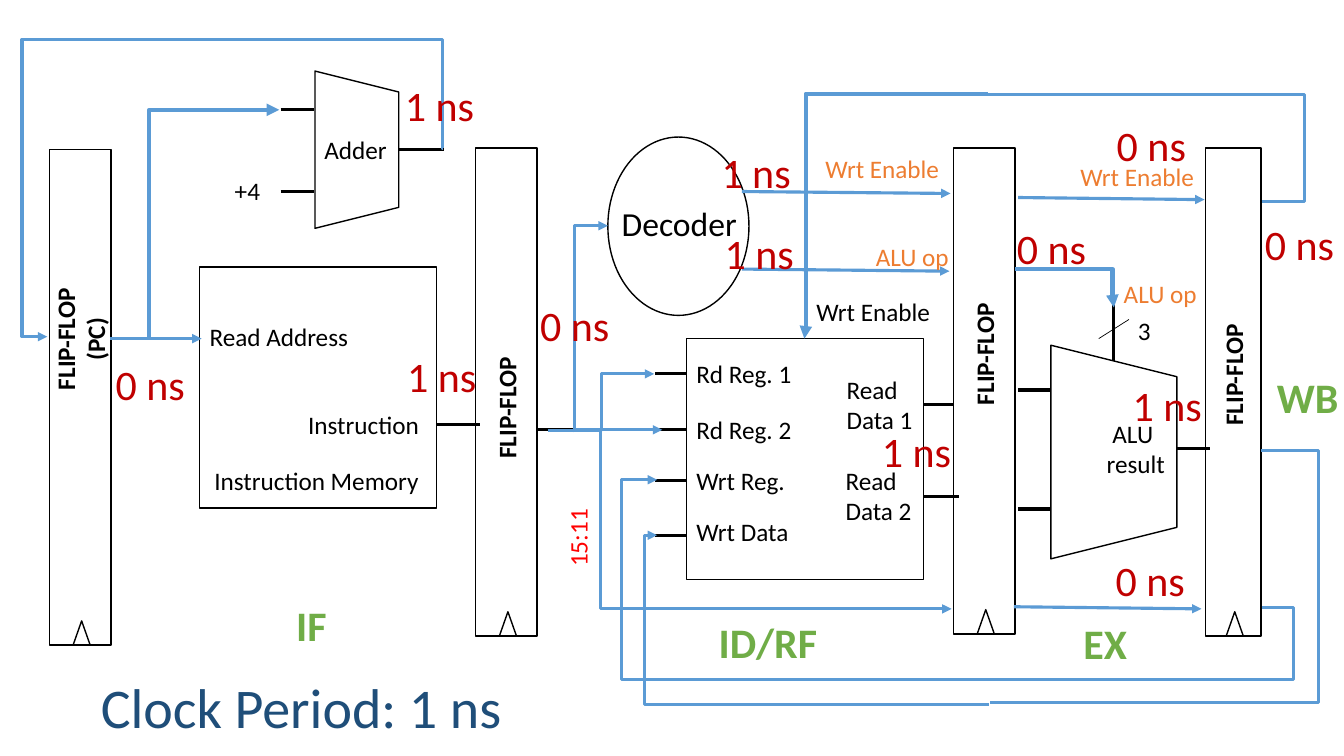
from dataclasses import dataclass

from pptx import Presentation
from pptx.dml.color import RGBColor
from pptx.enum.shapes import MSO_CONNECTOR as LINK, MSO_SHAPE as KIND
from pptx.enum.text import MSO_ANCHOR, PP_ALIGN
from pptx.oxml.ns import qn
from pptx.util import Pt
from lxml.etree import SubElement


@dataclass(frozen=True)
class Theme:
    """Colours, type sizes and line widths."""
    font: str = "Calibri"
    ink: str = "000000"
    wire: str = "5B9BD5"
    ctrl: str = "ED7D31"
    stage: str = "70AD47"
    delay: str = "C00000"
    bits: str = "FF0000"
    title: str = "1F4E79"
    small: int = 18
    mid: int = 24
    large: int = 30
    huge: int = 40
    hair: float = 0.5
    edge: float = 1
    thin: float = 2.25
    thick: float = 3


T = Theme()


def style(para, size, color, bold=False, align=PP_ALIGN.LEFT):
    """Format one paragraph."""
    para.alignment = align
    font = para.font
    font.name, font.size, font.bold = T.font, Pt(size), bold
    font.color.rgb = RGBColor.from_string(color)


class Region:
    """Draws parts relative to the box of one region."""

    def __init__(self, slide, box):
        self.shapes = slide.shapes
        self.x, self.y, self.w, self.h = box

    def text(self, words, x, y, w, size=T.small, color=T.ink, bold=False,
             turn=0, align=PP_ALIGN.LEFT):
        """Add a label, one paragraph for each line of words."""
        lines = words.split("\n")
        high = size * 1.2 * len(lines) + 7.2
        label = self.shapes.add_textbox(
            Pt(self.x + x), Pt(self.y + y), Pt(w), Pt(high))
        label.rotation = turn
        frame = label.text_frame
        frame.word_wrap = False
        frame.text = words
        for para in frame.paragraphs:
            style(para, size, color, bold, align)

    def upright(self, words, x, y, w, **look):
        """Add a label that reads upward, centred on x and y."""
        high = T.small * 1.2 * len(words.split("\n")) + 7.2
        self.text(words, x - w / 2, y - high / 2, w, turn=270, **look)

    def stage(self, words, x, y, w):
        """Name a pipeline stage."""
        self.text(words, x, y, w, T.large, T.stage, True)

    def delays(self, *spots):
        """Add delays given as nanoseconds, x and y."""
        for count, x, y in spots:
            self.text(f"{count} ns", x, y, 64.8, T.large, T.delay)

    def shape(self, kind, x, y, w, h, turn=0):
        """Add an outlined shape without fill."""
        part = self.shapes.add_shape(
            kind, Pt(self.x + x), Pt(self.y + y), Pt(w), Pt(h))
        part.rotation = turn
        part.shadow.inherit = False
        part.fill.background()
        part.line.color.rgb = RGBColor.from_string(T.ink)
        part.line.width = Pt(T.edge)

    def funnel(self, x, y, w, h):
        """Add a trapezoid that narrows to the right."""
        self.shape(KIND.TRAPEZOID, x + (w - h) / 2, y + (h - w) / 2, h, w, 90)

    def flop(self, x, y, w, h, mid, words="FLIP-FLOP"):
        """Add a flip-flop with its clock mark and name."""
        self.shape(KIND.RECTANGLE, x, y, w, h)
        self.shape(KIND.ISOSCELES_TRIANGLE, x + w / 2 - 5, y + h - 17.3,
                   12.2, 17.3)
        self.upright(words, x + w / 2, mid, 88.6, bold=True,
                     align=PP_ALIGN.CENTER)

    def wire(self, x1, y1, x2, y2, bend=None, color=T.wire, width=T.thin,
             arrow=True):
        """Add a wire; bend is the x of its vertical part."""
        kind = LINK.STRAIGHT if bend is None else LINK.ELBOW
        link = self.shapes.add_connector(
            kind, Pt(self.x + x1), Pt(self.y + y1),
            Pt(self.x + x2), Pt(self.y + y2))
        link.line.color.rgb = RGBColor.from_string(color)
        link.line.width = Pt(width)
        props = link._element.spPr
        if bend is not None:
            ratio = round((bend - x1) / (x2 - x1) * 100000)
            guides = props.find(qn("a:prstGeom")).get_or_add_avLst()
            SubElement(guides, qn("a:gd"), name="adj1", fmla=f"val {ratio}")
        if arrow:
            SubElement(props.find(qn("a:ln")), qn("a:tailEnd"),
                       type="triangle")
        SubElement(props, qn("a:effectLst"))

    def stub(self, x1, y1, x2, y2, width=T.thin):
        """Add a short black pin line."""
        self.wire(x1, y1, x2, y2, color=T.ink, width=width, arrow=False)


def fetch(slide, box):
    """Draw the fetch stage: PC, adder and instruction memory."""
    r = Region(slide, box)
    r.flop(35.3, 106.6, 43.9, 354.2, 242.3, "FLIP-FLOP\n(PC)")
    r.flop(339.8, 105.8, 43.9, 348.5, 291.2)
    r.funnel(225, 50.8, 59.8, 112.3)
    r.shape(KIND.RECTANGLE, 142.6, 190.8, 169.2, 172.1)
    for x1, x2, y in ((200.5, 224.6, 78.5), (200.5, 224.6, 136.8),
                      (284.4, 316.8, 106.6), (311.8, 342.7, 303.1)):
        r.stub(x1, y, x2, y)
    r.wire(78.5, 241.9, 144, 241.9)
    r.wire(106.6, 241.9, 199.4, 78.5, 106.6, width=T.thick)
    r.wire(316.8, 105.8, 193.7, 28.1, 316.1, arrow=False)
    r.wire(213.8, 28.1, 33.8, 240.5, 15.8)
    for words, x, y, w in (("Adder", 224.6, 92.2, 59.8),
                           ("+4", 160.6, 121.7, 33),
                           ("Read Address", 142.6, 226, 114.5),
                           ("Instruction ", 213, 288.7, 98.6),
                           ("Instruction Memory", 146, 329, 162)):
        r.text(words, x, y, w)
    r.stage("IF", 204.5, 424.8, 36.7)
    r.delays((0, 75.6, 252.7), (1, 283.7, 247), (1, 282.2, 53.3))


def decode(slide, box):
    """Draw the decode stage: decoder and register file."""
    r = Region(slide, box)
    r.shape(KIND.RECTANGLE, 110.3, 241.9, 169.2, 172.1)
    for words, pin, y in (("Rd Reg. 1", 267.1, 252.7),
                          ("Rd Reg. 2", 306.7, 292.3),
                          ("Wrt Reg.", 343.4, 329),
                          ("Wrt Data", 382.3, 365)):
        r.stub(88, pin, 110.3, pin)
        r.text(words, 110.3, y, 83.5)
    r.text("Read \nData 1", 217.6, 263.5, 62)
    r.text("Read \nData 2", 216.9, 329, 62)
    r.stub(279.5, 288.7, 301.8, 288.7)
    r.stub(279.5, 354.6, 304.7, 354.6)
    r.stub(3, 306.7, 34, 306.7)
    r.shape(KIND.OVAL, 54.2, 97.9, 100.8, 127.4)
    r.text("Decoder", 57, 141.1, 97.9, T.mid)
    r.wire(11.7, 307.4, 87.3, 267.1, 49.8)
    r.wire(49.8, 307, 93, 307)
    r.wire(30.4, 308.9, 54.2, 161.3, 30.4)
    r.wire(29, 306.7, 299.7, 434.9, 49)
    r.wire(149.9, 136.8, 299, 138.2)
    r.wire(149.9, 192.2, 298.2, 193.7)
    r.text("Wrt Enable", 196, 208.1, 96.5)
    r.text("Wrt Enable", 202.5, 105.8, 96.5, color=T.ctrl)
    r.text("ALU op", 238.5, 168.5, 67, color=T.ctrl)
    r.upright("15:11", 32.6, 383.8, 56.2, color=T.bits)
    r.flop(301.1, 105.8, 43.9, 347, 253)
    r.stage("ID/RF", 126.2, 437, 85.7)
    r.delays((0, -1.3, 210.2), (1, 242.8, 300.2),
             (1, 128.3, 100.8), (1, 130.5, 159.1))


def execute(slide, box):
    """Draw the execute stage: ALU and its control."""
    r = Region(slide, box)
    r.funnel(30.6, 246.6, 90, 152.6)
    r.text(" ALU \nresult", 63.4, 295.2, 57)
    for x1, x2, y in ((7, 30.6, 278.6), (7, 30.6, 363.6),
                      (120.2, 144, 320.4)):
        r.stub(x1, y, x2, y)
    r.stub(75.6, 217.4, 75.6, 257.8)
    r.stub(64.8, 241.9, 86.4, 228.2, T.hair)
    r.wire(5, 192.2, 75.6, 219.6, 74.7, width=T.thick)
    r.wire(7.2, 141.1, 140.4, 142.6)
    r.wire(4.3, 433.4, 138.2, 434.9)
    r.text("ALU op", 75.6, 195.1, 67, color=T.ctrl)
    r.text("3", 85.7, 221.8, 23.8)
    r.text("Wrt Enable", 44.6, 111.6, 96.5, color=T.ctrl)
    r.stage("EX", 46.8, 437.8, 46)
    r.delays((0, -0.7, 155.5), (0, 70.6, 82.1),
             (0, 69.8, 392.4), (1, 82, 267.8))


def write(slide, box):
    """Draw the write-back stage."""
    r = Region(slide, box)
    r.flop(1.1, 105.8, 39.6, 348.5, 267.8)
    r.stage("WB", 45, 262, 59)
    r.delays((0, 36.4, 152.6))


def loops(slide, box):
    """Draw the wires from write-back to the register file."""
    r = Region(slide, box)
    r.wire(901.4, 434.2, 649.4, 485.3, 923.8, arrow=False)
    r.wire(650.9, 485.3, 469.4, 342.7, 444.2)
    r.wire(900.7, 321.8, 707, 501.8, 941.8, arrow=False)
    r.wire(706.3, 503.3, 469.4, 382.3, 460.1)
    r.wire(901.4, 144, 704.2, 67.7, 931.7, arrow=False)
    r.wire(705.6, 67, 574.6, 241.9, 575.5, width=T.thick)


def head(slide, box):
    """Place the title with the clock period."""
    title = slide.shapes.title
    title.left, title.top, title.width, title.height = map(Pt, box)
    frame = title.text_frame
    frame.text = "Clock Period: 1 ns"
    frame.vertical_anchor = MSO_ANCHOR.TOP
    frame.word_wrap = False
    para = frame.paragraphs[0]
    para.line_spacing = 1.0
    style(para, T.huge, T.title)


deck = Presentation()
deck.slide_width, deck.slide_height = Pt(960), Pt(540)
page = deck.slides.add_slide(deck.slide_layouts[5])
fetch(page, (0, 0, 380, 540))
decode(page, (380, 0, 340, 540))
execute(page, (720, 0, 140, 540))
write(page, (860, 0, 100, 540))
loops(page, (0, 0, 960, 540))
head(page, (64.8, 476.6, 303.8, 55.4))
deck.save("out.pptx")
